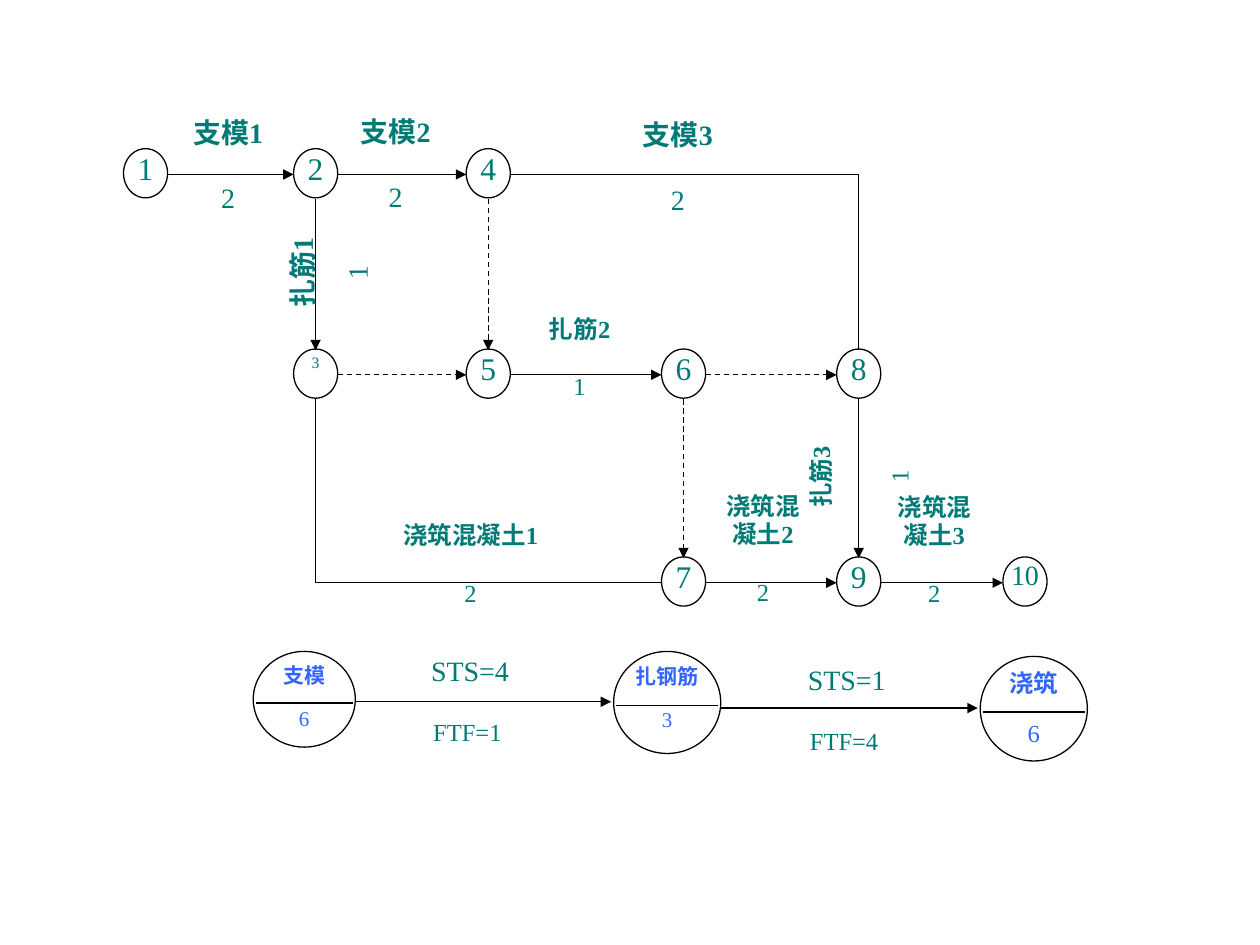
from lxml import etree
from pptx import Presentation, util as u
from pptx.dml.color import RGBColor
from pptx.enum import dml, shapes, text
from pptx.oxml.ns import qn

TEAL = RGBColor(0x00, 0x7A, 0x77)
BLUE = RGBColor(0x33, 0x66, 0xFF)
BLACK = RGBColor(0, 0, 0)
WHITE = RGBColor(255, 255, 255)
FONT = "Times New Roman"

COLUMNS = [0.98, 2.33, 3.70, 5.25, 6.64, 7.96]
ROWS = [1.18, 2.77, 4.42]
NODE_W, NODE_H = 0.35, 0.39

EVENTS = {1: (0, 0), 2: (1, 0), 4: (2, 0), 3: (1, 1), 5: (2, 1), 6: (3, 1),
          8: (4, 1), 7: (3, 2), 9: (4, 2), 10: (5, 2)}
EVENT_SIZES = {3: 9, 10: 16}

ACTIVITIES = [(1, 2), (2, 4), (5, 6), (7, 9), (9, 10), (2, 3), (8, 9)]
DUMMIES = [(3, 5), (6, 8), (6, 7), (4, 5)]
BENT = [(4, 8, (4, 0)), (3, 7, (1, 2))]

# lines, days, box, font size, gap before days, top inset, rotation
ACTIVITY_LABELS = [
    (["支模1"], "2", (1.35, 0.92, 0.92, 1.33), 16, 18, 0, 0),
    (["支模2"], "2", (2.68, 0.91, 0.92, 1.33), 16, 18, 0, 0),
    (["支模3"], "2", (4.92, 0.93, 0.92, 1.33), 16, 18, 0, 0),
    (["扎筋2"], "1", (4.14, 2.49, 0.92, 1.33), 14, 16, 0, 0),
    (["扎筋3"], "1", (6.09, 3.38, 1.42, 0.81), 14, 28, 0, 269.4),
    (["扎筋1"], "1", (1.80, 1.76, 1.42, 0.81), 16, 12, 0.16, 269.4),
    (["浇筑混凝土1"], "2", (3.06, 4.13, 1.35, 0.95), 14, 16, 0, 0),
    (["浇筑混", "凝土2"], "2", (5.38, 3.91, 1.35, 1.12), 14, 16, 0, 0),
    (["浇筑混", "凝土3"], "2", (6.74, 3.92, 1.35, 1.12), 14, 16, 0, 0),
]

# name, days, circle box, font size, divider height
PROCESSES = [
    ("支模", "6", (2.01, 5.17, 0.81, 0.76), 12, 5.58),
    ("扎钢筋", "3", (4.87, 5.17, 0.85, 0.81), 12, 5.60),
    ("浇筑", "6", (7.78, 5.21, 0.85, 0.83), 14, 5.65),
]

# start lag, finish lag, left, top of labels, arrow height
LAGS = [("STS=4", "FTF=1", 3.21, 5.19, 5.57),
        ("STS=1", "FTF=4", 6.20, 5.26, 5.62)]

prs = Presentation()
prs.slide_width, prs.slide_height = u.Inches(10), u.Inches(7.5)
slide = prs.slides.add_slide(prs.slide_layouts[6])


def write(shape, rows, color, top=0):
    frame = shape.text_frame
    frame.word_wrap = True
    frame.vertical_anchor = text.MSO_ANCHOR.TOP
    frame.margin_left = frame.margin_right = frame.margin_bottom = 0
    frame.margin_top = u.Inches(top)
    for i, (words, size, bold, gap, spacing) in enumerate(rows):
        paragraph = frame.add_paragraph() if i else frame.paragraphs[0]
        paragraph.text = words
        paragraph.alignment = text.PP_ALIGN.CENTER
        paragraph.line_spacing = spacing
        paragraph.space_before = u.Pt(gap)
        font = paragraph.font
        font.name, font.size, font.bold = FONT, u.Pt(size), bold
        font.color.rgb = color


def add_label(box, rows, top=0, rotation=0):
    label = slide.shapes.add_textbox(*map(u.Inches, box))
    label.rotation = rotation
    write(label, rows, TEAL, top)


def add_circle(box, rows, color, filled):
    circle = slide.shapes.add_shape(shapes.MSO_SHAPE.OVAL, *map(u.Inches, box))
    circle.shadow.inherit = False
    if filled:
        circle.fill.solid()
        circle.fill.fore_color.rgb = WHITE
    else:
        circle.fill.background()
    circle.line.color.rgb = BLACK
    circle.line.width = u.Pt(0.75)
    write(circle, rows, color)


def add_line(start, end, arrow=False, dashed=False):
    line = slide.shapes.add_connector(
        shapes.MSO_CONNECTOR.STRAIGHT, *map(u.Inches, (*start, *end)))
    line.line.color.rgb = BLACK
    line.line.width = u.Pt(0.75)
    if dashed:
        line.line.dash_style = dml.MSO_LINE.DASH
    properties = line._element.spPr
    if arrow:
        etree.SubElement(properties.find(qn("a:ln")), qn("a:tailEnd"), type="triangle")
    etree.SubElement(properties, qn("a:effectLst"))


def center(cell):
    column, row = cell
    return COLUMNS[column] + NODE_W / 2, ROWS[row] + NODE_H / 2 + 0.01


def edge(cell, toward):
    (x, y), (tx, ty) = center(cell), center(toward)
    step_x, step_y = (tx > x) - (tx < x), (ty > y) - (ty < y)
    return x + step_x * NODE_W / 2, y + step_y * NODE_H / 2


for number, (column, row) in EVENTS.items():
    add_circle((COLUMNS[column], ROWS[row], NODE_W, NODE_H),
               [(str(number), EVENT_SIZES.get(number, 18), False, 0, 0.8)], TEAL, True)

for pairs, dashed in ((ACTIVITIES, False), (DUMMIES, True)):
    for first, last in pairs:
        a, b = EVENTS[first], EVENTS[last]
        add_line(edge(a, b), edge(b, a), True, dashed)

for first, last, corner in BENT:
    for event in (first, last):
        add_line(edge(EVENTS[event], corner), center(corner))

for lines, days, box, size, gap, top, rotation in ACTIVITY_LABELS:
    spacing = 0.96 if len(lines) > 1 else 1.0
    rows = [(words, size, True, 0, spacing) for words in lines]
    add_label(box, rows + [(days, size, False, gap, 1.0)], top, rotation)

for name, days, box, size, divider in PROCESSES:
    add_circle(box, [(name, size, True, 0, 0.88), (days, size, False, size, 0.88)],
               BLUE, False)
    left, _, width, _ = box
    add_line((left + 0.02, divider), (left + width - 0.02, divider))

for (start_lag, finish_lag, left, top, height), before, after in zip(
        LAGS, PROCESSES, PROCESSES[1:]):
    add_line((before[2][0] + before[2][2], height), (after[2][0] - 0.02, height), True)
    add_label((left, top, 1.04, 0.38), [(start_lag, 16, False, 0, 1.0)])
    add_label((left - 0.02, top + 0.36, 1.04, 0.38),
              [(finish_lag, 14, False, 0, 1.0)], 0.14)

prs.save("out.pptx")
